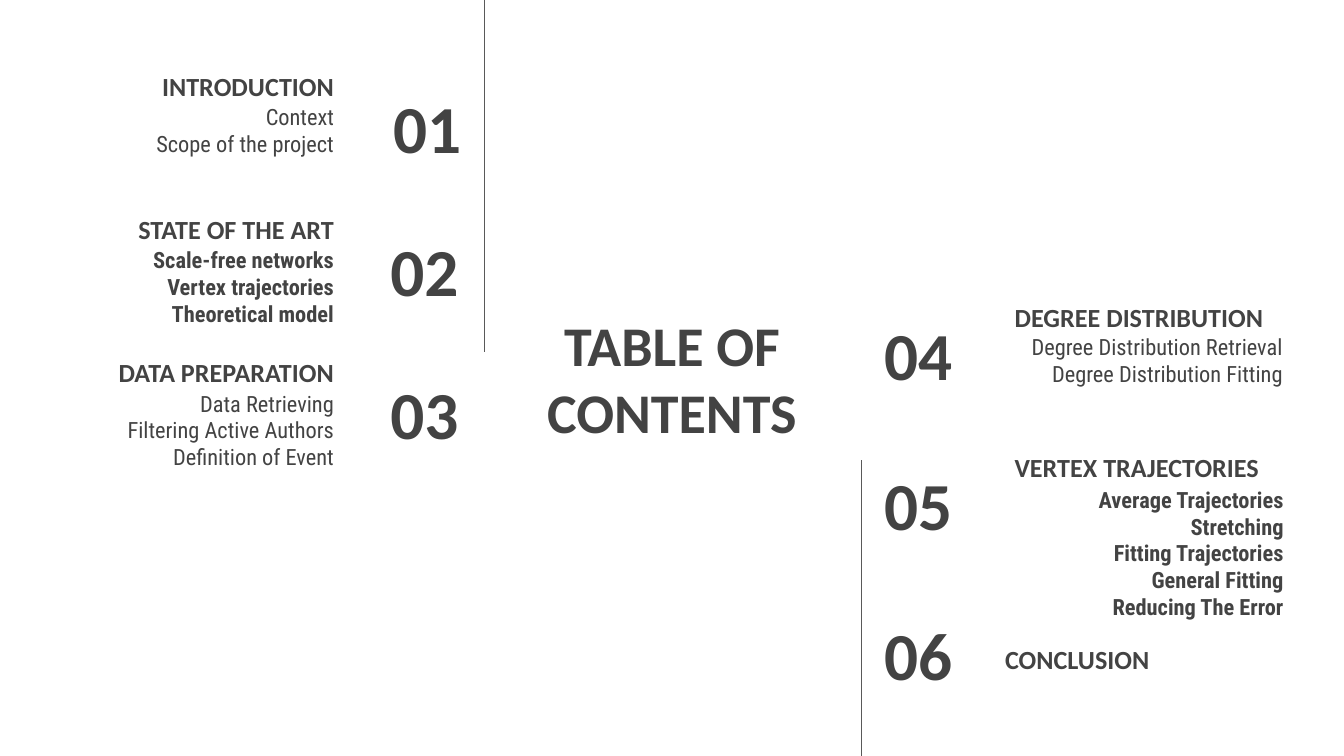
from dataclasses import dataclass

from pptx import Presentation
from pptx.dml.color import RGBColor
from pptx.enum.shapes import MSO_CONNECTOR
from pptx.enum.text import MSO_ANCHOR, MSO_AUTO_SIZE, PP_ALIGN
from pptx.oxml.ns import qn
from pptx.util import Pt

LEFT, MID, RIGHT = PP_ALIGN.LEFT, PP_ALIGN.CENTER, PP_ALIGN.RIGHT
TOP, CORE, BASE = MSO_ANCHOR.TOP, MSO_ANCHOR.MIDDLE, MSO_ANCHOR.BOTTOM
FIXED = MSO_AUTO_SIZE.NONE
STRAIGHT = MSO_CONNECTOR.STRAIGHT
PX = 4572  # 200 px to the inch
WIDTH, HEIGHT = 2000, 1125


@dataclass(frozen=True)
class Theme:
    ink: RGBColor = RGBColor(0x43, 0x43, 0x43)
    rule: RGBColor = RGBColor(0x59, 0x59, 0x59)
    head: str = "Calibri"
    body: str = "Roboto Condensed"
    title: int = 30
    number: int = 36
    topic: int = 14
    item: int = 12


def write(shape, text, *, size, font, color, bold=True, align=LEFT, anchor=TOP):
    """Fill a shape with text, one paragraph to a line."""
    frame = shape.text_frame
    frame.text = text
    frame.word_wrap = True
    frame.auto_size = FIXED
    frame.vertical_anchor = anchor
    frame.margin_left = frame.margin_right = 20 * PX
    frame.margin_top = frame.margin_bottom = 20 * PX
    for para in frame.paragraphs:
        para.alignment = align
        para.font.size = Pt(size)
        para.font.name = font
        para.font.bold = bold
        para.font.color.rgb = color


class Deck:
    def __init__(self, theme):
        self.theme = theme
        self.show = Presentation()
        self.show.slide_width = WIDTH * PX
        self.show.slide_height = HEIGHT * PX
        self.slide = self.show.slides.add_slide(self.show.slide_layouts[5])

    def title(self, text, x, y, w, h):
        shape = self.slide.shapes.title
        shape.left, shape.top, shape.width, shape.height = (
            n * PX for n in (x, y, w, h))
        write(shape, text, size=self.theme.title, font=self.theme.head,
              color=self.theme.ink, align=MID, anchor=CORE)

    def text(self, text, x, y, w, **form):
        box = self.slide.shapes.add_textbox(x * PX, y * PX, w * PX, 126 * PX)
        write(box, text, color=self.theme.ink, **form)

    def number(self, text, x, y, w, align):
        self.text(text, x, y, w, size=self.theme.number,
                  font=self.theme.head, align=align, anchor=CORE)

    def topic(self, text, x, y, w, align):
        self.text(text, x, y, w, size=self.theme.topic,
                  font=self.theme.head, align=align, anchor=BASE)

    def items(self, lines, x, y, w, bold):
        self.text("\n".join(lines), x, y, w, size=self.theme.item,
                  font=self.theme.body, bold=bold, align=RIGHT)

    def rule(self, x, top, end):
        line = self.slide.shapes.add_connector(
            STRAIGHT, x * PX, top * PX, x * PX, end * PX)
        line.line.color.rgb = self.theme.rule
        line.line.width = Pt(0.75)
        props = line._element.spPr
        props.append(props.makeelement(qn("a:effectLst"), {}))


# topic, its left, left of its number, items, bold items
FIRST = [
    ("INTRODUCTION", 86, 464, ["Context", "Scope of the project"], False),
    ("STATE OF THE ART", 52, 460,
     ["Scale-free networks", "Vertex trajectories", "Theoretical model"], True),
    ("DATA PREPARATION", 0, 460,
     ["Data Retrieving", "Filtering Active Authors", "Definition of Event"],
     False),
]
# topic, its left, top and width, items, their left and top, bold items
LAST = [
    ("DEGREE DISTRIBUTION", 1490, 389, 510,
     ["Degree Distribution Retrieval", "Degree Distribution Fitting"],
     1509, 476, False),
    ("VERTEX TRAJECTORIES", 1490, 613, 510,
     ["Average Trajectories", "Stretching", "Fitting Trajectories",
      "General Fitting", "Reducing The Error"], 1510, 703, True),
    ("CONCLUSION", 1476, 898, 504, [], 0, 0, False),
]


def main():
    deck = Deck(Theme())
    deck.title("TABLE OF CONTENTS", 741, 460, 518, 205)

    for i, (topic, x, left, lines, bold) in enumerate(FIRST):
        y = 125 + 213 * i
        deck.number(f"{i + 1:02}", left, y, 242, RIGHT)
        deck.topic(topic, x, y - 80, 517 - x, RIGHT)
        deck.items(lines, 152, y + 9, 365, bold)

    for i, (topic, x, y, w, lines, left, top, bold) in enumerate(LAST):
        deck.number(f"{i + 4:02}", 1296, 464 + 223 * i, 234, LEFT)
        deck.topic(topic, x, y, w, LEFT)
        if lines:
            deck.items(lines, left, top, 420, bold)

    deck.rule(721, 0, 524)
    deck.rule(1282, 685, HEIGHT)
    deck.show.save("out.pptx")


if __name__ == "__main__":
    main()
